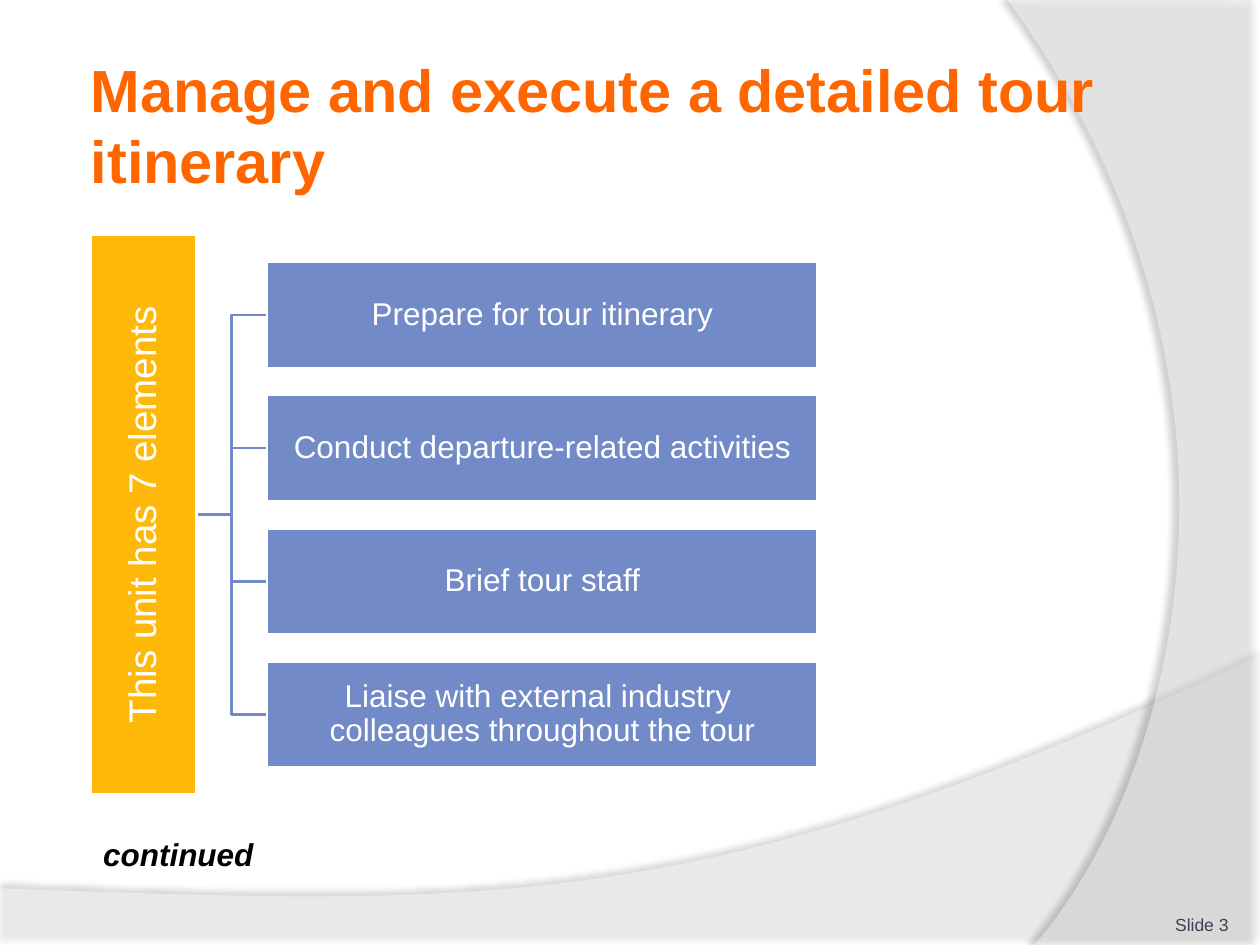
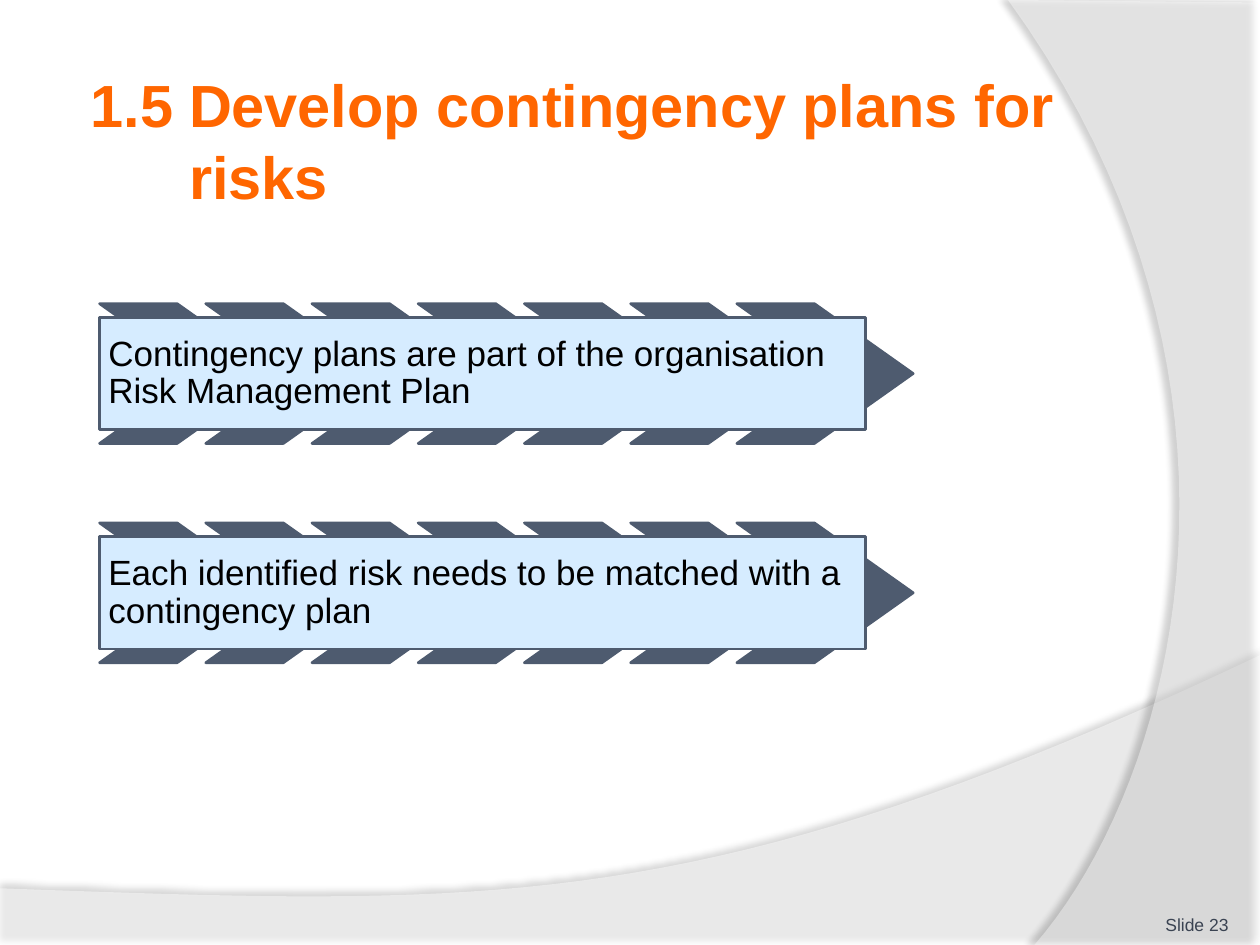
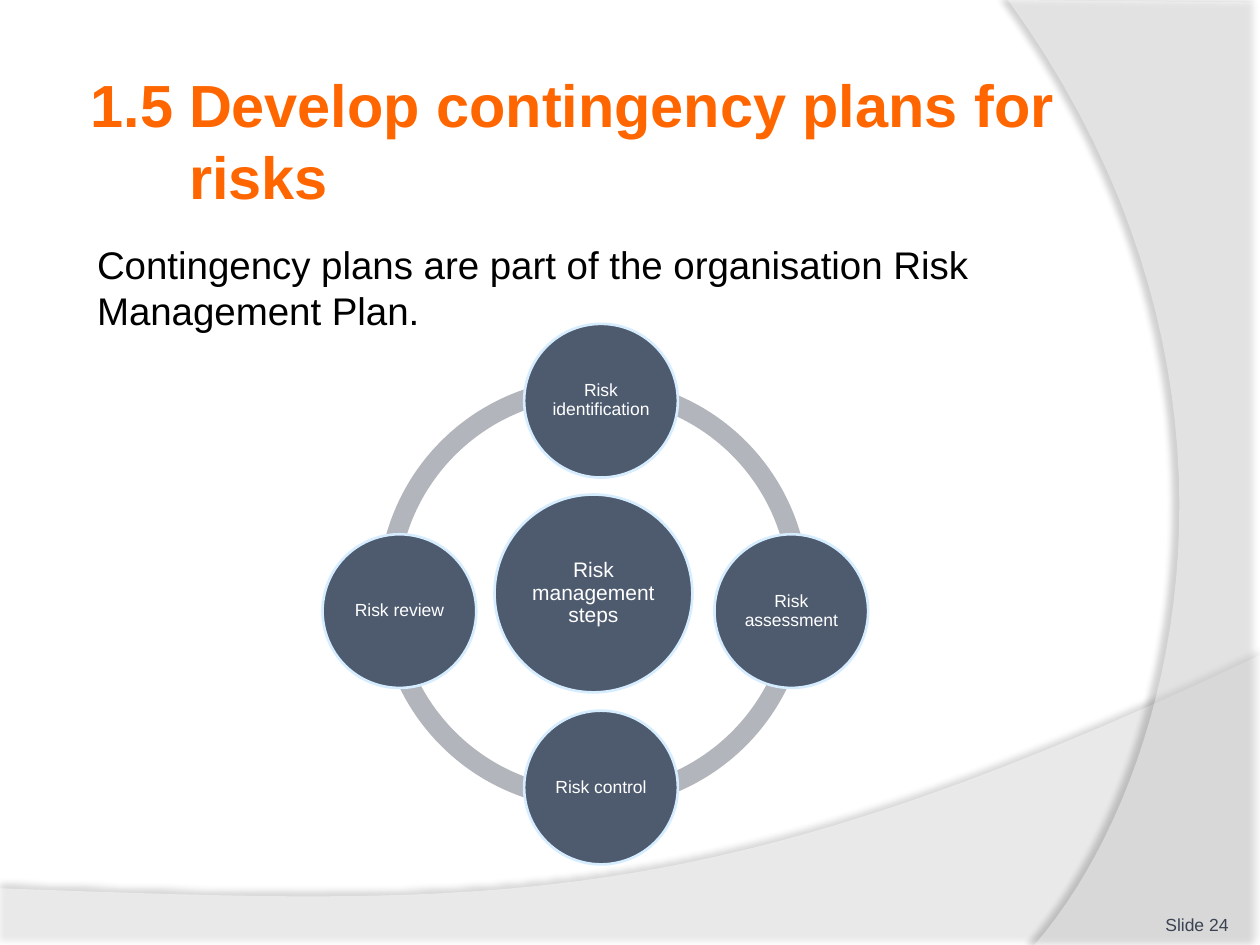
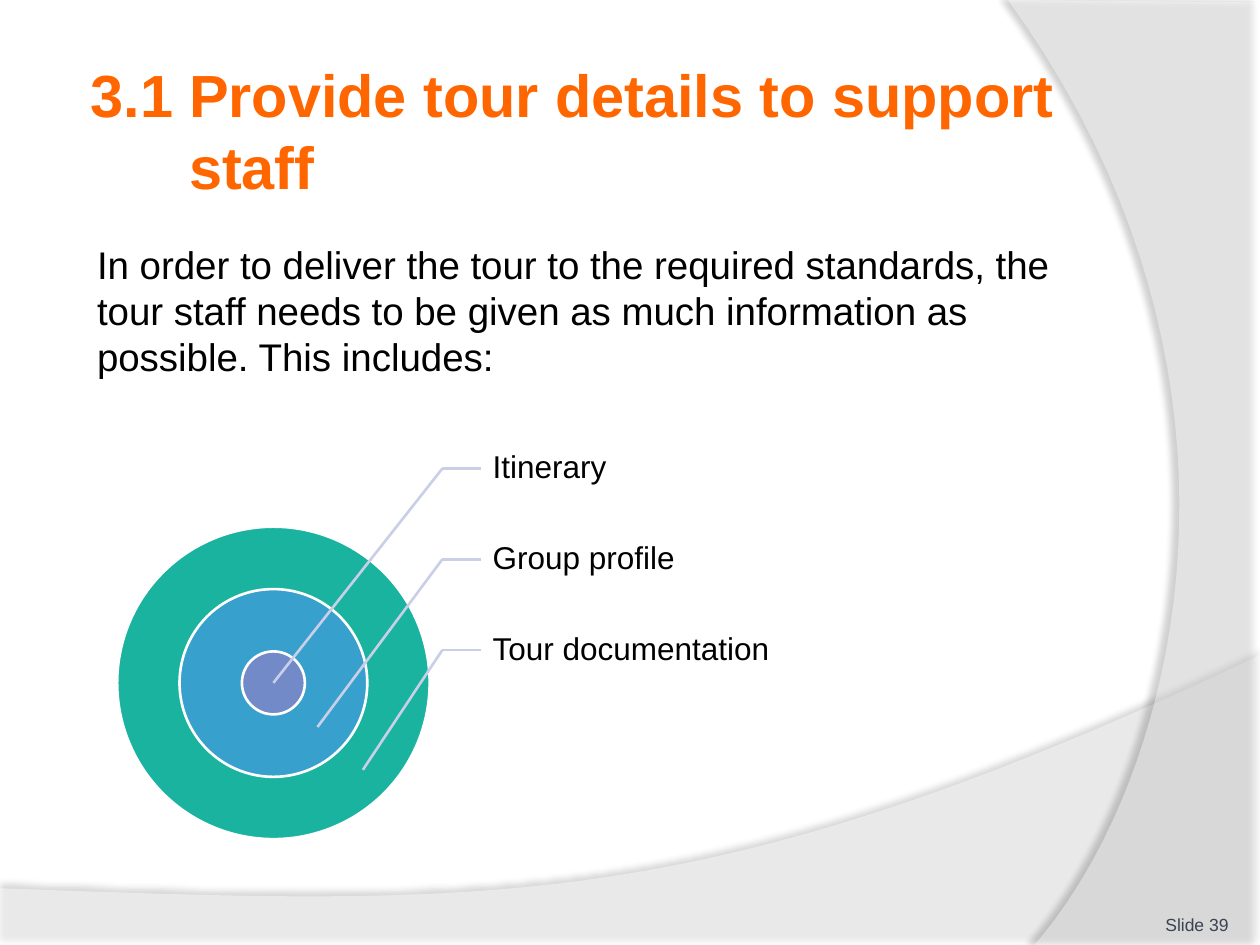
from dataclasses import dataclass

from lxml.etree import SubElement
from pptx import Presentation
from pptx.dml.color import RGBColor
from pptx.enum.shapes import MSO_CONNECTOR as Link, MSO_SHAPE as Preset
from pptx.enum.text import MSO_ANCHOR as Anchor, MSO_AUTO_SIZE as AutoSize, PP_ALIGN as Align
from pptx.oxml.ns import qn
from pptx.util import Inches, Pt


@dataclass(frozen=True)
class Theme:
    font: str = "Arial"
    orange: str = "FF6600"
    black: str = "000000"
    white: str = "FFFFFF"
    slate: str = "4E5B6F"
    footer: str = "3A4352"
    amber: str = "FEB80A"
    violet: str = "738AC8"
    lavender: str = "C9CFE6"
    ice: str = "D6ECFF"
    ring: str = "B2B5BB"
    teal: str = "1AB39F"
    blue: str = "38A0CC"
    title: int = 34
    body: int = 22
    panel: int = 20
    label: int = 18
    hub: int = 12
    small: int = 10
    line: float = 1.5


THEME = Theme()
WIDTH, HEIGHT = 10, 7.5
MARGIN, TEXT_WIDTH = 0.67, 8.17
TITLE_TOP, BODY_TOP = 0.36, 1.86
TITLE_INDENT = 0.78

# curve: start, two control points, end; corners close the outline
BANDS = [
    {"curve": [(10, 5.2), (5.59, 7.29), (3.91, 7.19), (0, 7.05)],
     "corners": [(0, 7.51), (10, 7.51)],
     "opacity": 45, "shadow_opacity": 35, "distance": 3.5, "direction": 270},
    {"curve": [(8.21, 7.5), (9.35, 6.19), (10.18, 3), (8, 0)],
     "corners": [(10, 0.02), (10, 7.5)],
     "opacity": 40, "shadow_opacity": 45, "distance": 4, "direction": 180},
]

UNIT = "This unit has 7 elements"
ELEMENTS = [
    "Prepare for tour itinerary",
    "Conduct departure-related activities",
    "Brief tour staff",
    "Liaise with external industry \ncolleagues throughout the tour",
]
PLAN_POINTS = [
    "Contingency plans are part of the organisation Risk Management Plan",
    "Each identified risk needs to be matched with a contingency plan",
]
RISK_HUB = "Risk management steps"
RISK_STEPS = [  # text, centre
    ("Risk identification", (4.77, 3.18)),
    ("Risk assessment", (6.28, 4.85)),
    ("Risk control", (4.77, 6.25)),
    ("Risk review", (3.17, 4.85)),
]
TOUR_DETAILS = [  # text, end of the leader line
    ("Itinerary", (2.17, 5.42)),
    ("Group profile", (2.52, 5.77)),
    ("Tour documentation", (2.88, 6.11)),
]
RINGS = [(2.48, THEME.teal), (1.49, THEME.blue), (0.5, THEME.violet)]


def rgb(value):
    return RGBColor.from_string(value)


def place(shape, left, top, width, height):
    shape.left, shape.top = Inches(left), Inches(top)
    shape.width, shape.height = Inches(width), Inches(height)


def write(shape, text, size, color, align=Align.LEFT, anchor=Anchor.MIDDLE,
          inset=None, spacing=None, bold=False, italic=False):
    frame = shape.text_frame
    frame.word_wrap, frame.auto_size = True, AutoSize.NONE
    frame.vertical_anchor = anchor
    if inset is not None:
        frame.margin_left = frame.margin_right = Inches(inset)
        frame.margin_top = frame.margin_bottom = Inches(inset)
    para = frame.paragraphs[0]
    para.text, para.alignment = text, align
    if spacing:
        para.line_spacing = spacing
    font = para.font
    font.name, font.size, font.bold, font.italic = THEME.font, Pt(size), bold, italic
    font.color.rgb = rgb(color)
    return frame


def add_box(slide, preset, left, top, width, height, fill, line=None):
    box = slide.shapes.add_shape(preset, *map(Inches, (left, top, width, height)))
    box.shadow.inherit = False
    box.fill.solid()
    box.fill.fore_color.rgb = rgb(fill)
    if line:
        box.line.color.rgb, box.line.width = rgb(line), Pt(THEME.line)
    else:
        box.line.fill.background()
    return box


def add_disc(slide, center, diameter, fill, line):
    left, top = (value - diameter / 2 for value in center)
    return add_box(slide, Preset.OVAL, left, top, diameter, diameter, fill, line)


def add_text(slide, left, top, width, height):
    return slide.shapes.add_textbox(*map(Inches, (left, top, width, height)))


def add_link(slide, kind, start, end, color):
    link = slide.shapes.add_connector(kind, *map(Inches, (*start, *end)))
    link.line.color.rgb, link.line.width = rgb(color), Pt(THEME.line)
    SubElement(link._element.spPr, qn("a:effectLst"))
    return link


def curve_points(start, first, second, end, steps=40):
    """Points along a cubic Bezier curve."""
    for step in range(steps + 1):
        t = step / steps
        weights = ((1 - t) ** 3, 3 * t * (1 - t) ** 2, 3 * t ** 2 * (1 - t), t ** 3)
        yield tuple(sum(weight * point[axis] for weight, point
                        in zip(weights, (start, first, second, end))) for axis in (0, 1))


def set_alpha(color, percent):
    SubElement(color, qn("a:alpha"), val=str(percent * 1000))


def add_band(slide, band):
    points = [tuple(map(Inches, point)) for point in (*curve_points(*band["curve"]), *band["corners"])]
    builder = slide.shapes.build_freeform(*points[0], scale=1.0)
    builder.add_line_segments(points[1:], close=True)
    shape = builder.convert_to_shape()
    shape.line.fill.background()
    shape.fill.solid()
    shape.fill.fore_color.rgb = rgb(THEME.white)
    shape.shadow.inherit = False
    properties = shape._element.spPr
    set_alpha(properties.find(f"{qn('a:solidFill')}/{qn('a:srgbClr')}"), band["opacity"])
    shadow = SubElement(properties.find(qn("a:effectLst")), qn("a:outerShdw"),
                        blurRad=str(Pt(4)), dist=str(Pt(band["distance"])),
                        dir=str(band["direction"] * 60000), algn="ctr", rotWithShape="0")
    set_alpha(SubElement(shadow, qn("a:srgbClr"), val=THEME.black), band["shadow_opacity"])
    return shape


def move_bands_to_master(deck, slide):
    """Draw the bands and put them behind everything on the master."""
    tree = deck.slide_master.shapes._spTree
    for index, band in enumerate(BANDS):
        element = add_band(slide, band)._element
        element.nvSpPr.cNvPr.set("id", str(101 + index))
        tree.insert(2 + index, element)


def add_page(deck, number, title, title_height, body=None):
    page = deck.slides.add_slide(deck.slide_layouts[1 if body else 5])
    heading = page.shapes.title
    place(heading, MARGIN, TITLE_TOP, TEXT_WIDTH, title_height)
    write(heading, title, THEME.title, THEME.orange, inset=0.05, bold=True)
    if "\t" in title:
        layout = heading.text_frame.paragraphs[0]._p.get_or_add_pPr()
        layout.set("marL", str(Inches(TITLE_INDENT)))
        layout.set("indent", str(-Inches(TITLE_INDENT)))
    if body:
        content = page.placeholders[1]
        place(content, MARGIN, BODY_TOP, TEXT_WIDTH, 4.79)
        para = content.text_frame.paragraphs[0]
        para.space_before, para.space_after = Pt(0), Pt(12)
        layout = para._p.get_or_add_pPr()
        layout.set("marL", "0")
        layout.set("indent", "0")
        SubElement(layout, qn("a:buNone"))
        write(content, body, THEME.body, THEME.black, anchor=Anchor.TOP)
    footer = add_text(page, 8.92, 7.02, 0.83, 0.4)
    write(footer, f"Slide {number}", THEME.small, THEME.footer, Align.RIGHT, Anchor.BOTTOM, inset=0)
    return page


def draw_elements(page):
    left, top, bottom = 2.12, 2.08, 6.09
    width, height = 4.37, 0.84
    pitch = (bottom - top - height) / (len(ELEMENTS) - 1)
    middle = (top + bottom) / 2
    root_right, root_length = 1.56, 4.44
    for row in range(len(ELEMENTS)):
        add_link(page, Link.ELBOW, (root_right, middle),
                 (left, top + row * pitch + height / 2), THEME.violet)

    root_center = root_right - height / 2
    root = add_box(page, Preset.RECTANGLE, root_center - root_length / 2, middle - height / 2,
                   root_length, height, THEME.amber, THEME.white)
    root.rotation = 270
    write(root, UNIT, THEME.body, THEME.white, Align.CENTER, inset=0.02, spacing=0.9)

    for row, text in enumerate(ELEMENTS):
        box = add_box(page, Preset.RECTANGLE, left, top + row * pitch, width, height,
                      THEME.violet, THEME.white)
        write(box, text, THEME.label, THEME.white, Align.CENTER, inset=0.01, spacing=0.9)

    note = add_text(page, 0.72, 6.58, 1.41, 0.4)
    frame = write(note, "continued", THEME.label, THEME.black, anchor=Anchor.TOP,
                  bold=True, italic=True)
    frame.word_wrap = False


def draw_plan_points(page):
    left, top, row_pitch = 0.79, 2.41, 1.74
    chevrons, chevron_pitch, chevron_width, chevron_height = 7, 0.843, 1.4, 1.11
    panel_width, overhang = 6.08, 0.11
    for row, text in enumerate(PLAN_POINTS):
        row_top = top + row * row_pitch
        for column in range(chevrons):
            chevron = add_box(page, Preset.CHEVRON, left + column * chevron_pitch, row_top,
                              chevron_width, chevron_height, THEME.slate, THEME.slate)
            chevron.adjustments[0] = 0.706
        panel = add_box(page, Preset.RECTANGLE, left, row_top + overhang, panel_width,
                        chevron_height - 2 * overhang, THEME.ice, THEME.slate)
        write(panel, text, THEME.panel, THEME.black, inset=0.07, spacing=0.9)


def draw_risk_cycle(page):
    center, ring_size = (4.71, 4.71), 3.42
    ring_left, ring_top = (value - ring_size / 2 for value in center)
    for start in (180, 90, 0, 270):
        arc = add_box(page, Preset.BLOCK_ARC, ring_left, ring_top, ring_size, ring_size, THEME.ring)
        angles = (start, (start + 90) % 360)
        for index, angle in enumerate(angles):
            arc.adjustments[index] = angle * 0.6
        arc.adjustments[2] = 0.046
    discs = [(RISK_HUB, center, 1.57, THEME.hub)]
    discs += [(text, spot, 1.22, THEME.small) for text, spot in RISK_STEPS]
    for text, spot, diameter, size in discs:
        disc = add_disc(page, spot, diameter, THEME.slate, THEME.ice)
        write(disc, text, size, THEME.white, Align.CENTER, inset=0, spacing=0.9)


def draw_tour_target(page):
    for diameter, color in RINGS:
        add_disc(page, (2.17, 5.42), diameter, color, THEME.white)
    bend, left, top, width, height = 3.51, 3.82, 3.36, 2.52, 0.72
    for row, (text, target) in enumerate(TOUR_DETAILS):
        row_top = top + row * height
        middle = row_top + height / 2
        label = add_text(page, left, row_top, width, height)
        frame = write(label, text, THEME.label, THEME.black, inset=0.02, spacing=0.9)
        frame.margin_left = Inches(0.09)
        stub = add_link(page, Link.STRAIGHT, (bend, middle), (left, middle), THEME.lavender)
        stub.end_connect(label, 1)
        add_link(page, Link.STRAIGHT, (bend, middle), target, THEME.lavender)


PAGES = [
    {"number": 3, "title": "Manage and execute a detailed tour itinerary",
     "title_height": 1.25, "draw": draw_elements},
    {"number": 23, "title": "1.5\tDevelop contingency plans for risks",
     "title_height": 1.5, "draw": draw_plan_points},
    {"number": 24, "title": "1.5\tDevelop contingency plans for risks",
     "title_height": 1.5, "draw": draw_risk_cycle,
     "body": "Contingency plans are part of the organisation Risk Management Plan."},
    {"number": 39, "title": "3.1\tProvide tour details to support staff",
     "title_height": 1.34, "draw": draw_tour_target,
     "body": "In order to deliver the tour to the required standards, the tour staff needs "
             "to be given as much information as possible. This includes:"},
]


def main():
    deck = Presentation()
    deck.slide_width, deck.slide_height = Inches(WIDTH), Inches(HEIGHT)
    for details in PAGES:
        content = dict(details)
        draw = content.pop("draw")
        draw(add_page(deck, **content))
    move_bands_to_master(deck, deck.slides[0])
    deck.save("out.pptx")


if __name__ == "__main__":
    main()
